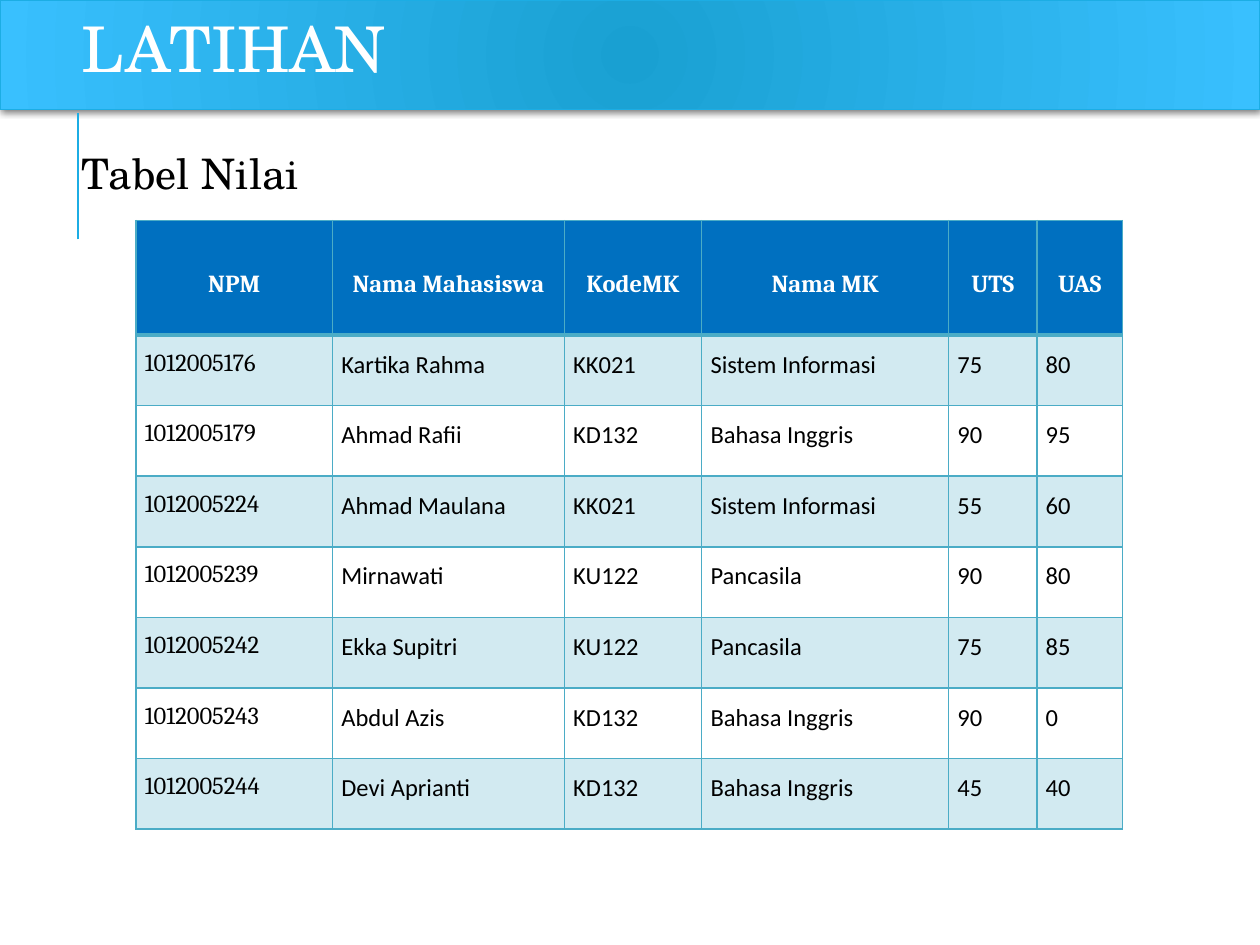
from lxml import etree
from pptx import Presentation
from pptx.dml.color import RGBColor
from pptx.enum.shapes import MSO_CONNECTOR
from pptx.enum.text import MSO_ANCHOR, MSO_AUTO_SIZE, PP_ALIGN
from pptx.oxml import parse_xml
from pptx.oxml.ns import qn
from pptx.util import Inches, Pt

LEFT, CENTER = PP_ALIGN.LEFT, PP_ALIGN.CENTER
TOP, MIDDLE = MSO_ANCHOR.TOP, MSO_ANCHOR.MIDDLE
STRAIGHT = MSO_CONNECTOR.STRAIGHT
NS = 'xmlns:a="http://schemas.openxmlformats.org/drawingml/2006/main"'

# Content
TITLE = "LATIHAN"
LABEL = "Tabel Nilai"
HEAD = ["NPM", "Nama Mahasiswa", "KodeMK", "Nama MK", "UTS", "UAS"]
ROWS = [
    ["1012005176", "Kartika Rahma", "KK021", "Sistem Informasi", "75", "80"],
    ["1012005179", "Ahmad Rafii", "KD132", "Bahasa Inggris", "90", "95"],
    ["1012005224", "Ahmad Maulana", "KK021", "Sistem Informasi", "55", "60"],
    ["1012005239", "Mirnawati", "KU122", "Pancasila", "90", "80"],
    ["1012005242", "Ekka Supitri", "KU122", "Pancasila", "75", "85"],
    ["1012005243", "Abdul Azis", "KD132", "Bahasa Inggris", "90", "0"],
    ["1012005244", "Devi Aprianti", "KD132", "Bahasa Inggris", "45", "40"],
]
WIDTHS = [1.56, 1.84, 1.09, 1.96, 0.7, 0.68]
HEAD_H, ROW_H = 0.91, 0.56

COLORS = {
    "accent": "1CADE4", "inner": "19A0D2", "outer": "39C0FE",
    "head": "0070C0", "band": "D2EAF1", "grid": "4BACC6",
    "white": "FFFFFF", "black": "000000",
}
SERIF = "TeX Gyre Schola"
STYLES = {
    "title": dict(name=SERIF, size=Pt(36), bold=False),
    "label": dict(name=SERIF, size=Pt(24), bold=False),
    "head": dict(name="Cambria", size=Pt(14), bold=True),
    "key": dict(name="Cambria", size=Pt(14), bold=False),
    "cell": dict(name="Calibri", size=Pt(14), bold=False),
}


def rgb(key):
    return RGBColor.from_string(COLORS[key])


def put(frame, text, style, color, space, align=LEFT):
    """Write one styled paragraph into a text frame."""
    para = frame.paragraphs[0]
    para.text = text
    para.alignment = align
    para.line_spacing = space
    para.space_before = Pt(0)
    for key, value in STYLES[style].items():
        setattr(para.font, key, value)
    para.font.color.rgb = rgb(color)


def place(shape, left, top, width, height):
    box = dict(left=left, top=top, width=width, height=height)
    for key, value in box.items():
        setattr(shape, key, Inches(value))


def pad(item, left, top, right, bottom):
    sides = dict(left=left, top=top, right=right, bottom=bottom)
    for key, value in sides.items():
        setattr(item, "margin_" + key, Inches(value))


def edge(cell, side, width):
    """Draw one border of a table cell."""
    cell._tc.get_or_add_tcPr().append(parse_xml(
        f'<a:{side} {NS} w="{Pt(width)}"><a:solidFill>'
        f'<a:srgbClr val="{COLORS["grid"]}"/></a:solidFill></a:{side}>'))


def add_title(slide):
    title = slide.shapes.title
    place(title, 0, 0, 10, 0.87)
    frame = title.text_frame
    frame.word_wrap = True
    frame.auto_size = MSO_AUTO_SIZE.NONE
    frame.vertical_anchor = MIDDLE
    pad(frame, 0.65, 0.05, 0.1, 0.05)
    put(frame, TITLE, "title", "white", 0.8)

    # Radial fill, outline and soft shadow
    props = title._element.spPr
    props.append(parse_xml(
        f'<a:gradFill {NS}><a:gsLst>'
        f'<a:gs pos="0"><a:srgbClr val="{COLORS["inner"]}"/></a:gs>'
        f'<a:gs pos="100000"><a:srgbClr val="{COLORS["outer"]}"/></a:gs>'
        '</a:gsLst><a:path path="circle"><a:fillToRect l="50000" t="50000" '
        'r="50000" b="50000"/></a:path></a:gradFill>'))
    title.line.color.rgb = rgb("accent")
    title.line.width = Pt(0.75)
    props.append(parse_xml(
        f'<a:effectLst {NS}><a:outerShdw blurRad="{Pt(4)}" dist="{Pt(1)}" '
        'dir="5400000" rotWithShape="0"><a:srgbClr val="000000">'
        '<a:alpha val="50000"/></a:srgbClr></a:outerShdw></a:effectLst>'))


def add_rule(slide):
    ends = [Inches(v) for v in (0.62, 1.9, 0.62, 0.9)]
    rule = slide.shapes.add_connector(STRAIGHT, *ends)
    rule.line.color.rgb = rgb("accent")
    rule.line.width = Pt(1.5)
    etree.SubElement(rule._element.spPr, qn("a:effectLst"))


def add_label(slide):
    box = [Inches(v) for v in (0.5, 1.17, 9, 0.5)]
    frame = slide.shapes.add_textbox(*box).text_frame
    frame.word_wrap = True
    pad(frame, 0.15, 0.05, 0.05, 0.05)
    put(frame, LABEL, "label", "black", 0.9)


def add_grades(slide):
    data = [HEAD] + ROWS
    tall = HEAD_H + ROW_H * len(ROWS)
    box = [Inches(v) for v in (1.08, 1.75, sum(WIDTHS), tall)]
    table = slide.shapes.add_table(len(data), len(HEAD), *box).table
    for col, width in zip(table.columns, WIDTHS):
        col.width = Inches(width)
    for r, values in enumerate(data):
        first = r == 0
        table.rows[r].height = Inches(HEAD_H if first else ROW_H)
        fill = "head" if first else "band" if r % 2 else "white"
        for c, text in enumerate(values):
            cell = table.cell(r, c)
            pad(cell, 0.07, 0, 0.07, 0)
            cell.vertical_anchor = MIDDLE if first else TOP
            style = "head" if first else "cell" if c else "key"
            put(cell.text_frame, text, style, "white" if first else "black",
                1.5, CENTER if first else LEFT)
            # Thicker rule between the header and the first row
            for side, width in (("lnL", 1), ("lnR", 1),
                                ("lnT", 2.25 if r == 1 else 1),
                                ("lnB", 2.25 if first else 1)):
                edge(cell, side, width)
            cell.fill.solid()
            cell.fill.fore_color.rgb = rgb(fill)


def main():
    deck = Presentation()
    deck.slide_width, deck.slide_height = Inches(10), Inches(7.5)
    slide = deck.slides.add_slide(deck.slide_layouts[5])
    add_title(slide)
    add_rule(slide)
    add_label(slide)
    add_grades(slide)
    deck.save("out.pptx")


if __name__ == "__main__":
    main()
